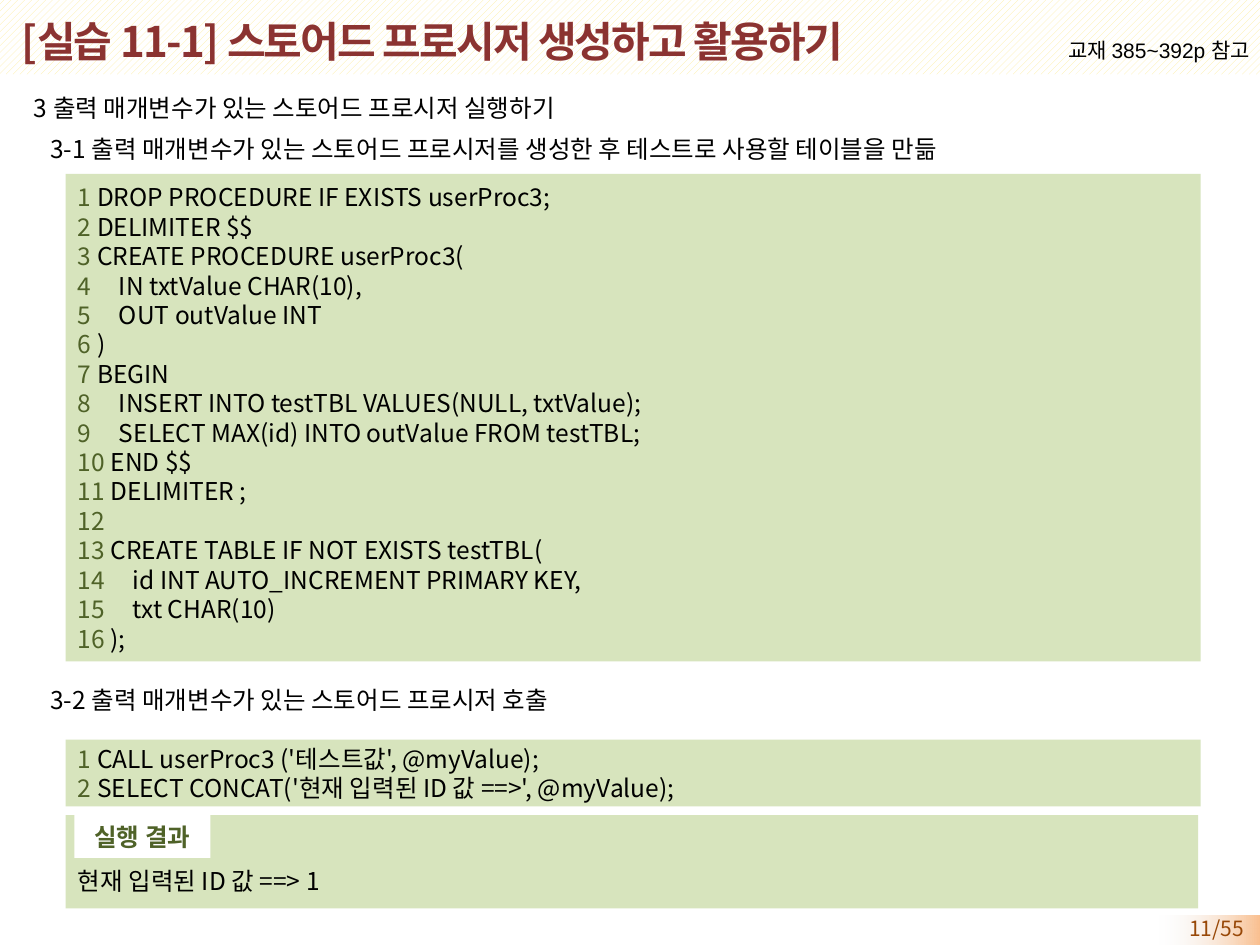
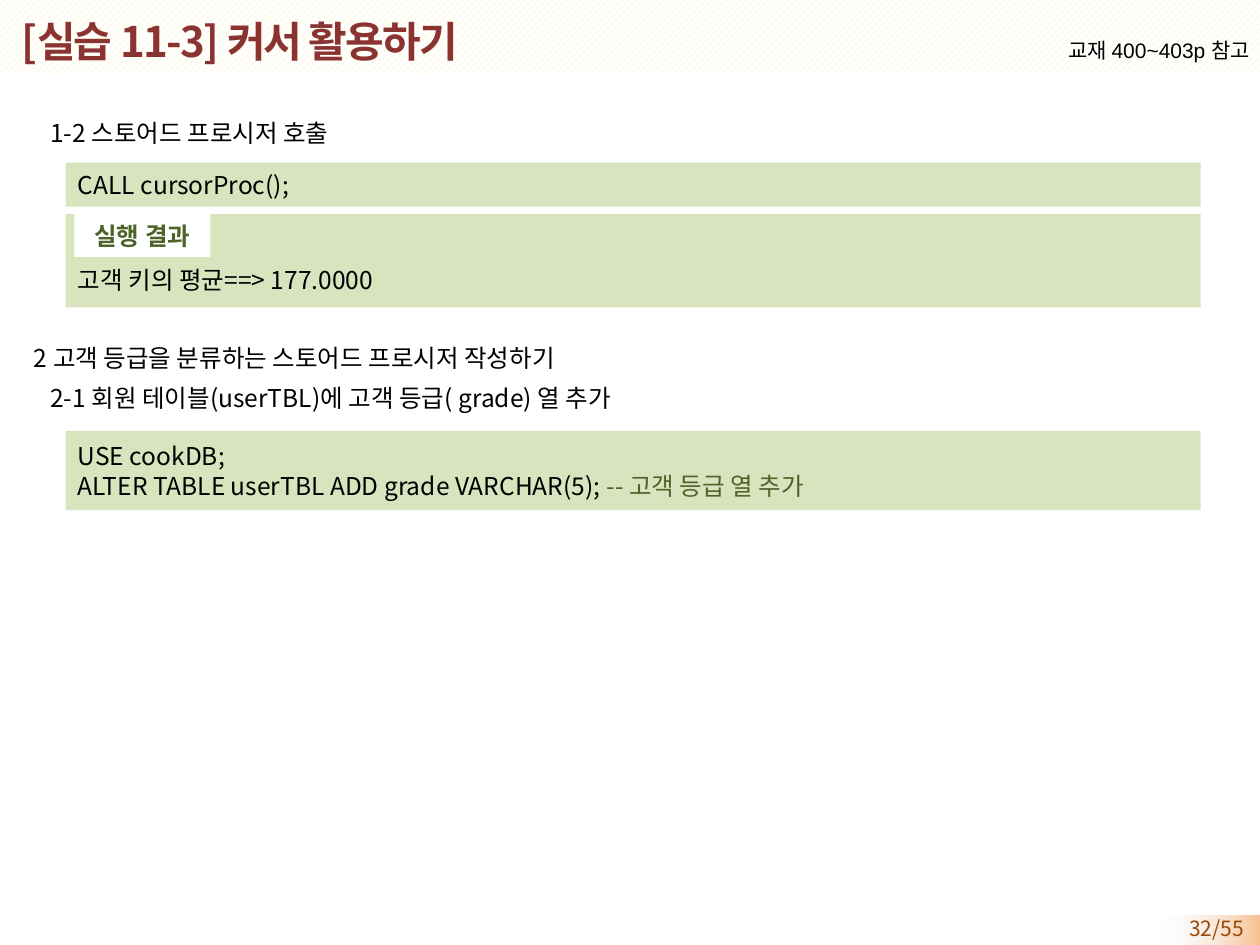
from lxml.etree import SubElement
from pptx import Presentation
from pptx.dml.color import RGBColor as RGB
from pptx.enum.dml import MSO_PATTERN as Pattern
from pptx.enum.shapes import MSO_SHAPE as Shape
from pptx.enum.text import MSO_ANCHOR as Anchor, PP_ALIGN as Align
from pptx.oxml.ns import qn
from pptx.util import Inches, Pt

COLORS = {
    "title": "8B3331", "text": "000000", "code": "D7E4BD", "mark": "4F6228",
    "page": "984807", "white": "FFFFFF", "stripe": "FDED9C",
    "glow": "FAC090", "fade": "F2F2F2",
}
FONT = "Noto Sans CJK KR"
LEFT, WIDTH = 0.52, 9.01
TOTAL = 55


def rgb(name):
    return RGB.from_string(COLORS[name])


class Deck:
    def __init__(self):
        self.prs = Presentation()
        self.prs.slide_width, self.prs.slide_height = Inches(10), Inches(7.5)
        self.slide = None

    def rect(self, x, y, w, h, color=None):
        box = self.slide.shapes.add_shape(
            Shape.RECTANGLE, Inches(x), Inches(y), Inches(w), Inches(h))
        box.shadow.inherit = False
        box.line.fill.background()
        if color:
            box.fill.solid()
            box.fill.fore_color.rgb = rgb(color)
        return box

    def area(self, x, y, w, h):
        return self.slide.shapes.add_textbox(
            Inches(x), Inches(y), Inches(w), Inches(h))

    def label(self, box, lines, size=14, bold=False, font=FONT,
              align=Align.LEFT, anchor=Anchor.MIDDLE, wrap=True):
        """Each line is a list of (text, color) pairs."""
        frame = box.text_frame
        frame.word_wrap, frame.vertical_anchor = wrap, anchor
        for i, parts in enumerate(lines):
            para = frame.add_paragraph() if i else frame.paragraphs[0]
            para.alignment = align
            for text, color in parts:
                run = para.add_run()
                run.text = text
                run.font.size, run.font.bold = Pt(size), bold
                run.font.color.rgb = rgb(color)
                run.font.name = font
                props = run._r.get_or_add_rPr()
                SubElement(props, qn("a:ea")).set("typeface", FONT)
        return frame

    # Shared band, title, reference and page number
    def page(self, title, pages, number):
        self.slide = self.prs.slides.add_slide(self.prs.slide_layouts[6])

        glow = self.rect(9.2, 7.27, 0.8, 0.24)
        glow.fill.gradient()
        glow.fill.gradient_angle = 180
        for stop, name in zip(glow.fill.gradient_stops, ("glow", "fade")):
            stop.color.rgb = rgb(name)
        last = list(glow._element.spPr.iter(qn("a:srgbClr")))[-1]
        SubElement(last, qn("a:alpha")).set("val", "0")

        band = self.rect(0, -0.02, 10, 0.61)
        band.fill.patterned()
        band.fill.pattern = Pattern.WIDE_UPWARD_DIAGONAL
        band.fill.fore_color.rgb = rgb("stripe")
        band.fill.back_color.rgb = rgb("white")

        self.label(self.area(9.05, 7.22, 0.92, 0.23),
                   [[(f"{number}/{TOTAL}", "page")]], size=12,
                   align=Align.RIGHT, anchor=Anchor.TOP)
        frame = self.label(self.area(0.07, 0.06, 8.51, 0.52),
                           [[(title, "title")]], size=24, bold=True)
        frame.paragraphs[0].runs[0]._r.get_or_add_rPr().set("spc", "-100")
        self.label(self.area(8.25, 0.25, 1.77, 0.3),
                   [[(f"교재 {pages}p 참고", "text")]], size=12, font="Arial",
                   align=Align.RIGHT, anchor=Anchor.TOP, wrap=False)

    # Numbered headings; those with a dash in the number are indented
    def heads(self, y, *texts):
        box = self.area(0.27, y, 9.5, 0.32 * len(texts))
        frame = self.label(box, [[(t, "text")] for t in texts],
                           anchor=Anchor.TOP)
        frame.margin_left = frame.margin_top = frame.margin_bottom = 0
        for i, para in enumerate(frame.paragraphs):
            if "-" in para.text.split()[0]:
                para._p.get_or_add_pPr().set("marL", str(Inches(0.13)))
            if i:
                para.space_before = Pt(6.4)

    # Code panel, with line numbers if wanted
    def code(self, y, h, source, count=False):
        lines = []
        for n, line in enumerate(source.strip().split("\n"), 1):
            body, dash, note = line.partition("--")
            parts = [(str(n), "mark")] if count else []
            if body:
                parts.append((" " + body if count else body, "text"))
            if dash:
                parts.append((dash + note, "mark"))
            lines.append(parts)
        self.label(self.rect(LEFT, y, WIDTH, h, "code"), lines)

    # Output panel with its white tab
    def result(self, y, text, w=WIDTH):
        box = self.rect(LEFT, y, w, 0.74, "code")
        frame = self.label(box, [[(text, "text")]], anchor=Anchor.TOP)
        frame.margin_top = Inches(0.4)
        self.label(self.rect(0.59, y, 1.08, 0.34, "white"),
                   [[("실행 결과", "mark")]], bold=True, align=Align.CENTER)


PROC = """
DROP PROCEDURE IF EXISTS userProc3;
DELIMITER $$
CREATE PROCEDURE userProc3(
    IN txtValue CHAR(10),
    OUT outValue INT
)
BEGIN
    INSERT INTO testTBL VALUES(NULL, txtValue);
    SELECT MAX(id) INTO outValue FROM testTBL;
END $$
DELIMITER ;

CREATE TABLE IF NOT EXISTS testTBL(
    id INT AUTO_INCREMENT PRIMARY KEY,
    txt CHAR(10)
);
"""
CALL = """
CALL userProc3 ('테스트값', @myValue);
SELECT CONCAT('현재 입력된 ID 값 ==>', @myValue);
"""
GRADE = """
USE cookDB;
ALTER TABLE userTBL ADD grade VARCHAR(5); -- 고객 등급 열 추가
"""


def main():
    deck = Deck()

    # Stored procedure with an output parameter
    deck.page("[실습 11-1] 스토어드 프로시저 생성하고 활용하기", "385~392", 11)
    deck.heads(0.74, "3 출력 매개변수가 있는 스토어드 프로시저 실행하기",
               "3-1 출력 매개변수가 있는 스토어드 프로시저를 생성한 후 "
               "테스트로 사용할 테이블을 만듦")
    deck.code(1.38, 3.87, PROC, count=True)
    deck.heads(5.44, "3-2 출력 매개변수가 있는 스토어드 프로시저 호출")
    deck.code(5.87, 0.53, CALL, count=True)
    deck.result(6.47, "현재 입력된 ID 값 ==> 1", 8.99)

    # Cursor
    deck.page("[실습 11-3] 커서 활용하기", "400~403", 32)
    deck.heads(0.94, "1-2 스토어드 프로시저 호출")
    deck.code(1.29, 0.35, "CALL cursorProc();")
    deck.result(1.7, "고객 키의 평균==> 177.0000")
    deck.heads(2.72, "2 고객 등급을 분류하는 스토어드 프로시저 작성하기",
               "2-1 회원 테이블(userTBL)에 고객 등급( grade) 열 추가")
    deck.code(3.42, 0.63, GRADE)

    deck.prs.save("out.pptx")


if __name__ == "__main__":
    main()
